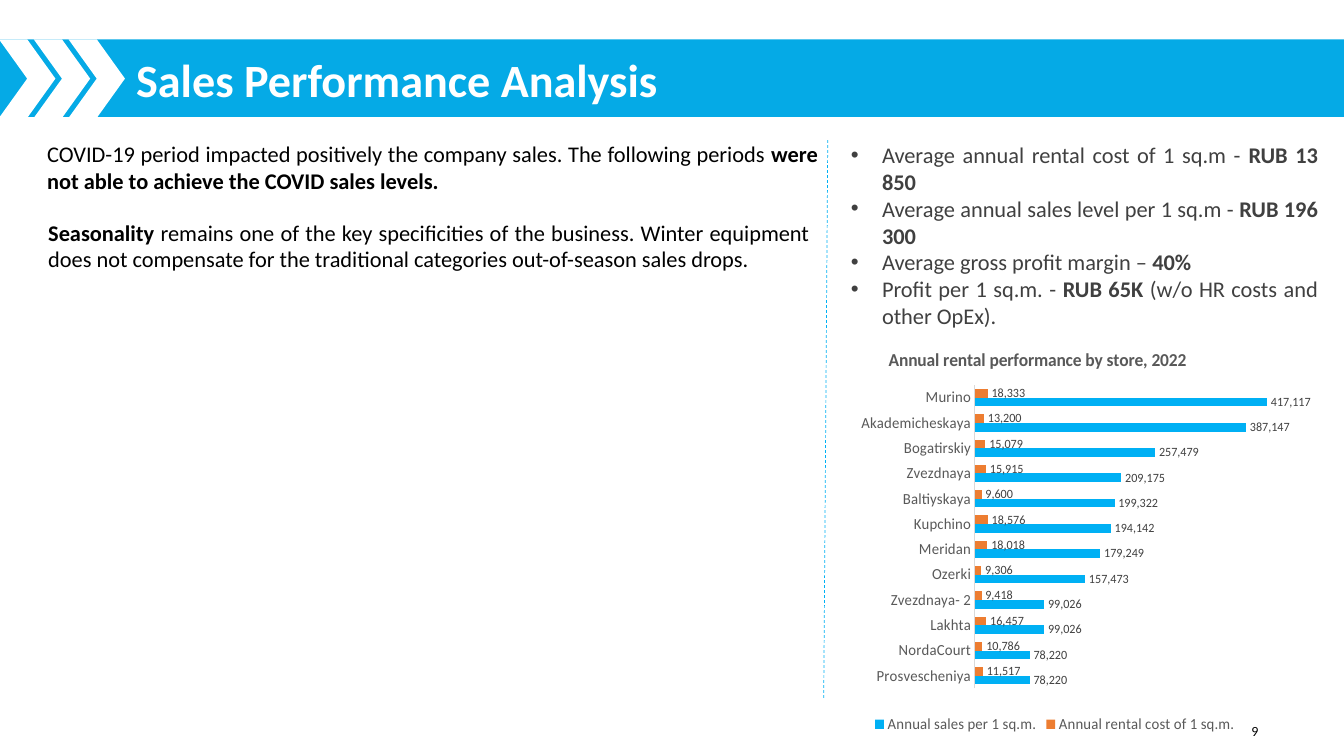
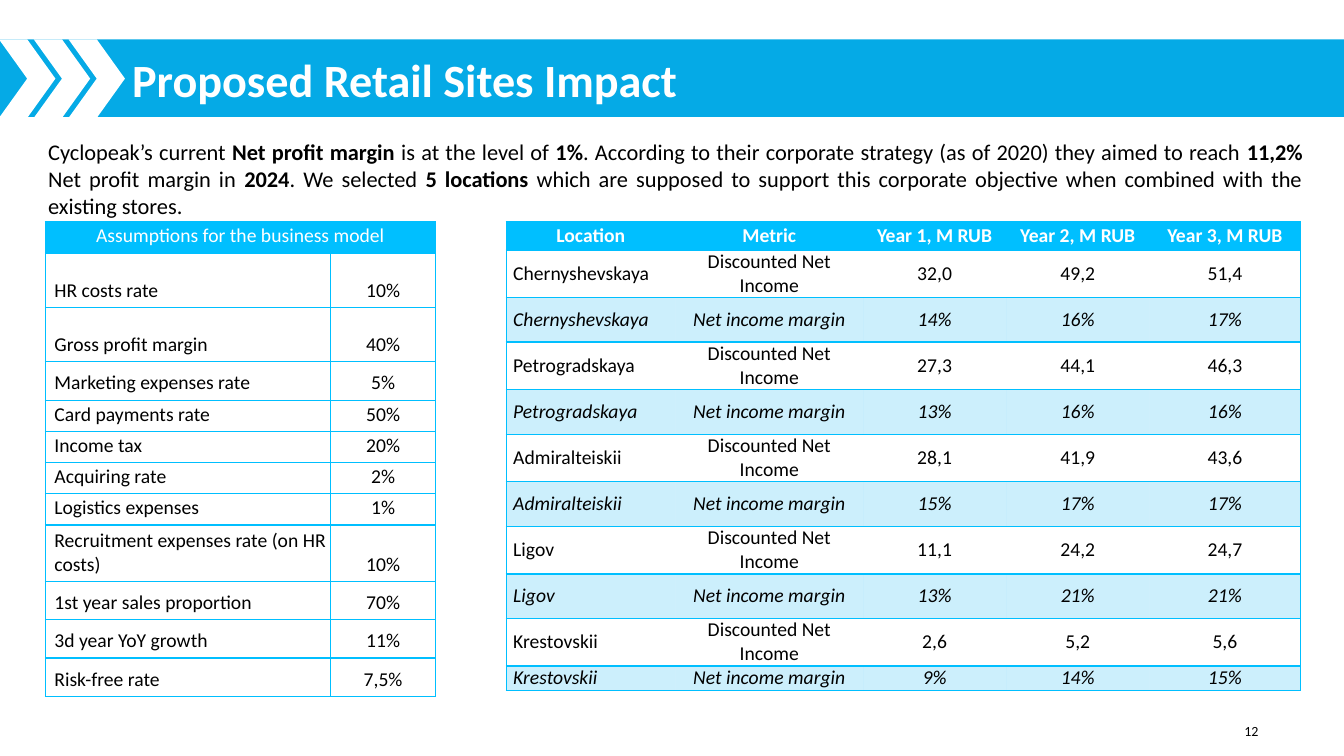
from lxml.etree import SubElement
from pptx import Presentation
from pptx.chart.data import CategoryChartData
from pptx.dml.color import RGBColor
from pptx.enum.chart import XL_CHART_TYPE, XL_LABEL_POSITION, XL_LEGEND_POSITION, XL_TICK_MARK
from pptx.enum.dml import MSO_LINE
from pptx.enum.shapes import MSO_CONNECTOR, MSO_SHAPE
from pptx.enum.text import MSO_ANCHOR, PP_ALIGN
from pptx.oxml.ns import qn
from pptx.util import Inches, Pt

FONT = "Calibri"
BAND, SKY, GRID, ORANGE = "05AAE6", "00B0F4", "00BFFF", "ED7D31"
WHITE, BLACK, DARK, GREY, PALE = "FFFFFF", "000000", "404040", "595959", "D9D9D9"
SLIDE_WIDTH, SLIDE_HEIGHT = 13.33, 7.5
NO_GRID_STYLE = "{2D5ABB26-0587-4C30-8999-92F81FD0307C}"

STORES = [
    ("Murino", 18333, 417117),
    ("Akademicheskaya", 13200, 387147),
    ("Bogatirskiy", 15079, 257479),
    ("Zvezdnaya", 15915, 209175),
    ("Baltiyskaya", 9600, 199322),
    ("Kupchino", 18576, 194142),
    ("Meridan", 18018, 179249),
    ("Ozerki", 9306, 157473),
    ("Zvezdnaya- 2", 9418, 99026),
    ("Lakhta", 16457, 99026),
    ("NordaCourt", 10786, 78220),
    ("Prosvescheniya", 11517, 78220),
]
RENTAL_FACTS = [
    "Average annual rental cost of 1 sq.m - **RUB 13 850**",
    "Average annual sales level per 1 sq.m - **RUB 196 300**",
    "Average gross profit margin – **40%**",
    "Profit per 1 sq.m. - **RUB 65K **(w/o HR costs and other OpEx).",
]
ASSUMPTIONS = [
    ("HR costs rate", "10%", 0.54),
    ("Gross profit margin", "40%", 0.54),
    ("Marketing expenses rate", "5%", 0.38),
    ("Card payments rate", "50%", 0.31),
    ("Income tax", "20%", 0.31),
    ("Acquiring rate", "2%", 0.31),
    ("Logistics expenses", "1%", 0.31),
    ("Recruitment expenses rate (on HR costs)", "10%", 0.56),
    ("1st year sales proportion", "70%", 0.38),
    ("3d year YoY growth", "11%", 0.38),
    ("Risk-free rate", "7,5%", 0.38),
]
SITES = [
    ("Chernyshevskaya", ("32,0", "49,2", "51,4"), ("14%", "16%", "17%")),
    ("Petrogradskaya", ("27,3", "44,1", "46,3"), ("13%", "16%", "16%")),
    ("Admiralteiskii", ("28,1", "41,9", "43,6"), ("15%", "17%", "17%")),
    ("Ligov", ("11,1", "24,2", "24,7"), ("13%", "21%", "21%")),
    ("Krestovskii", ("2,6", "5,2", "5,6"), ("9%", "14%", "15%")),
]


def paint(fill, color, opacity=100):
    """Give a fill a solid colour, see-through when opacity is below 100."""
    fill.solid()
    fill.fore_color.rgb = RGBColor.from_string(color)
    if opacity < 100:
        tint = fill._xPr.find(qn("a:solidFill"))[0]
        SubElement(tint, qn("a:alpha")).set("val", str(opacity * 1000))


def style_font(font, size, color, bold=False, italic=False):
    """Set face, size, colour and weight of a font."""
    font.name, font.size, font.bold, font.italic = FONT, Pt(size), bold, italic
    paint(font.fill, color)


def write(para, text, size, color, align, bold=False, italic=False):
    """Fill a paragraph, with **marked** parts in bold."""
    para.alignment = align
    for index, part in enumerate(text.split("**")):
        if part:
            span = para.add_run()
            span.text = part
            style_font(span.font, size, color, bold or index % 2 == 1, italic)


def set_margins(target, left, top, right, bottom):
    """Set the four inner margins of a cell or text frame."""
    target.margin_left, target.margin_top = Inches(left), Inches(top)
    target.margin_right, target.margin_bottom = Inches(right), Inches(bottom)


def add_text(page, box, lines, size=16, color=BLACK, align=PP_ALIGN.JUSTIFY, bold=False):
    """Place a wrapping text box with one paragraph a line."""
    frame = page.shapes.add_textbox(*map(Inches, box)).text_frame
    frame.word_wrap = True
    for index, line in enumerate(lines):
        para = frame.paragraphs[0] if index == 0 else frame.add_paragraph()
        write(para, line, size, color, align, bold)
    return frame


def add_bullets(page, box, lines):
    """Place a bulleted text box with hanging indents."""
    indent = Inches(0.31)
    for para in add_text(page, box, lines, color=DARK).paragraphs:
        properties = para._p.get_or_add_pPr()
        properties.set("marL", str(indent))
        properties.set("indent", str(-indent))
        SubElement(properties, qn("a:buFont")).set("typeface", "Arial")
        SubElement(properties, qn("a:buChar")).set("char", "•")


def add_block(page, kind, box, color):
    """Place a plain filled shape."""
    shape = page.shapes.add_shape(kind, *map(Inches, box))
    shape.shadow.inherit = False
    shape.line.fill.background()
    paint(shape.fill, color)


def add_frame(page, title, title_left, number):
    """Place the title band, its chevrons and the page number."""
    top, height = 0.39, 0.77
    add_block(page, MSO_SHAPE.RECTANGLE, (0, top, SLIDE_WIDTH, height), BAND)
    box = (title_left, top + 0.13, SLIDE_WIDTH - title_left, 0.6)
    frame = add_text(page, box, [title], 33, WHITE, PP_ALIGN.LEFT, True)
    set_margins(frame, 0, 0, 0, 0)
    frame.vertical_anchor = MSO_ANCHOR.MIDDLE
    frame.paragraphs[0].line_spacing = 0.9
    for step in range(3):
        add_block(page, MSO_SHAPE.CHEVRON, (0.345 * step - 0.01, top, 0.56, height + 0.01), WHITE)
    add_text(page, (9.58, 7.12, 3, 0.38), [str(number)], 10, BLACK, PP_ALIGN.RIGHT)


def add_divider(page, start, end):
    """Draw the dashed line between the two columns."""
    line = page.shapes.add_connector(MSO_CONNECTOR.STRAIGHT, *map(Inches, start + end))
    paint(line.line.fill, SKY)
    line.line.width = Pt(0.5)
    line.line.dash_style = MSO_LINE.DASH
    SubElement(line._element.spPr, qn("a:effectLst"))


def set_layout(parent, position, before, inner=False):
    """Pin a chart part to shares of the chart's size."""
    for old in parent.findall(qn("c:layout")):
        parent.remove(old)
    layout = SubElement(parent, qn("c:layout"))
    manual = SubElement(layout, qn("c:manualLayout"))
    fields = [("layoutTarget", "inner")] if inner else []
    fields += [("xMode", "edge"), ("yMode", "edge"), *zip("xywh", position)]
    for name, value in fields:
        SubElement(manual, qn("c:" + name)).set("val", str(value))
    if before is not None:
        before.addprevious(layout)


def add_store_chart(page, box):
    """Place the bar chart of rent and sales by store."""
    data = CategoryChartData(number_format="#,##0")
    names, rents, sales = zip(*STORES)
    data.categories = names
    data.add_series("Annual rental cost of 1 sq.m.", rents)
    data.add_series("Annual sales per 1 sq.m.", sales)
    chart = page.shapes.add_chart(XL_CHART_TYPE.BAR_CLUSTERED, *map(Inches, box), data).chart
    style_font(chart.font, 10, BLACK)

    chart.has_title = True
    para = chart.chart_title.text_frame.paragraphs[0]
    write(para, "Annual rental performance by store, 2022", 13, GREY, PP_ALIGN.CENTER, True)
    title = chart.chart_title._element
    set_layout(title, (0.14, 0.04), title.find(qn("c:overlay")))
    area = chart._chartSpace.chart.plotArea
    set_layout(area, (0.33, 0.14, 0.67, 0.74), area[0], True)

    chart.has_legend = True
    chart.legend.position = XL_LEGEND_POSITION.BOTTOM
    chart.legend.include_in_layout = False
    style_font(chart.legend.font, 11, GREY)

    axis = chart.category_axis
    axis.reverse_order = True
    axis.major_tick_mark = XL_TICK_MARK.NONE
    style_font(axis.tick_labels.font, 11, GREY)
    paint(axis.format.line.fill, PALE)
    axis.format.line.width = Pt(0.75)
    chart.value_axis.visible = False
    chart.value_axis.has_major_gridlines = False

    plot = chart.plots[0]
    plot.gap_width, plot.overlap, plot.vary_by_categories = 93, 0, False
    for series, color in zip(plot.series, (ORANGE, SKY)):
        paint(series.format.fill, color)
        labels = series.data_labels
        labels.show_value = True
        labels.position = XL_LABEL_POSITION.OUTSIDE_END
        labels.number_format, labels.number_format_is_linked = "#,##0", False
        style_font(labels.font, 9, DARK)


def add_borders(cell, sides):
    """Draw the named sides of a cell (L, R, T, B, in that order)."""
    properties = cell._tc.get_or_add_tcPr()
    for index, side in enumerate(sides):
        line = SubElement(properties, qn("a:ln" + side))
        line.set("w", str(Pt(1)))
        SubElement(SubElement(line, qn("a:solidFill")), qn("a:srgbClr")).set("val", GRID)
        properties.insert(index, line)


def add_grid(page, left, top, widths, heights):
    """Place an unstyled table with given column widths and row heights."""
    box = (left, top, sum(widths), sum(heights))
    table = page.shapes.add_table(len(heights), len(widths), *map(Inches, box)).table
    table.first_row = table.horz_banding = False
    table._tbl.tblPr.find(qn("a:tableStyleId")).text = NO_GRID_STYLE
    for column, width in zip(table.columns, widths):
        column.width = Inches(width)
    for row, height in zip(table.rows, heights):
        row.height = Inches(height)
    return table


def fill_cell(cell, text, margins, anchor, align, sides, header=False, bold=False, italic=False):
    """Write one table cell and set its margins, fill and borders."""
    set_margins(cell, *margins)
    cell.vertical_anchor = anchor
    write(cell.text_frame.paragraphs[0], text, 14, WHITE if header else BLACK, align, bold, italic)
    if header:
        paint(cell.fill, GRID)
    elif italic:
        paint(cell.fill, SKY, 20)
    else:
        cell.fill.background()
    add_borders(cell, sides)


def add_assumptions(page, left, top):
    """Place the table of business model assumptions."""
    rows = [("Assumptions for the business model", "", 0.31), *ASSUMPTIONS]
    table = add_grid(page, left, top, (2.83, 1.04), [row[2] for row in rows])
    table.cell(0, 0).merge(table.cell(0, 1))
    for y, row in enumerate(rows):
        for x in range(2):
            cell, header = table.cell(y, x), y == 0
            labelled = x == 0 and not header
            align = PP_ALIGN.LEFT if labelled else PP_ALIGN.CENTER
            fill_cell(cell, row[x], (0.01, 0.01, 0.01, 0.05), MSO_ANCHOR.BOTTOM, align, "LRTB", header)
            if labelled:
                cell.text_frame.paragraphs[0]._p.get_or_add_pPr().set("marL", str(Inches(0.08)))


def add_site_results(page, left, top):
    """Place the table of yearly results by location."""
    rows = [("Location", "Metric", *(f"Year {year}, M RUB" for year in (1, 2, 3)))]
    for site, income, margin in SITES:
        rows += [(site, "Discounted Net Income", *income), (site, "Net income margin", *margin)]
    heights = [0.28] + [0.47, 0.44] * (len(SITES) - 1) + [0.47, 0.24]
    table = add_grid(page, left, top, (1.68, 1.86, 1.42, 1.42, 1.5), heights)
    for y, row in enumerate(rows):
        for x, text in enumerate(row):
            header, italic = y == 0, y > 0 and y % 2 == 0
            align = PP_ALIGN.LEFT if x == 0 and not header else PP_ALIGN.CENTER
            sides = {0: "LTB", len(row) - 1: "RTB"}.get(x, "TB")
            fill_cell(table.cell(y, x), text, (0.07, 0, 0.07, 0), MSO_ANCHOR.MIDDLE,
                      align, sides, header, header, italic)


def build_sales(page):
    """Build the sales performance slide."""
    add_text(page, (0.37, 1.34, 7.84, 0.64), [
        "COVID-19 period impacted positively the company sales. The following periods "
        "**were not able to achieve the COVID sales levels.**"])
    add_text(page, (0.38, 2.12, 7.75, 0.91), [
        "**Seasonality** remains one of the key specificities of the business. Winter equipment "
        "does not compensate for the traditional categories out-of-season sales drops."])
    add_store_chart(page, (8.13, 3.25, 4.87, 4.07))
    add_bullets(page, (8.34, 1.35, 4.83, 1.99), RENTAL_FACTS)
    add_divider(page, (8.21, 1.39), (8.17, 6.94))
    add_frame(page, "Sales Performance Analysis", 1.35, 9)


def build_sites(page):
    """Build the proposed retail sites slide."""
    add_assumptions(page, 0.45, 2.2)
    add_site_results(page, 5.02, 2.2)
    add_text(page, (0.38, 1.32, 12.64, 0.91), [
        "Cyclopeak’s current **Net profit margin **is at the level of **1%**. According to their "
        "corporate strategy (as of 2020) they aimed to reach **11,2%** Net profit margin in "
        "**2024**. We selected **5 locations **which are supposed to support this corporate "
        "objective when combined with the existing stores."])
    add_frame(page, "Proposed Retail Sites Impact", 1.31, 12)


def main():
    """Build and save the deck."""
    deck = Presentation()
    deck.slide_width, deck.slide_height = Inches(SLIDE_WIDTH), Inches(SLIDE_HEIGHT)
    for build in (build_sales, build_sites):
        build(deck.slides.add_slide(deck.slide_layouts[6]))
    deck.save("out.pptx")


if __name__ == "__main__":
    main()
